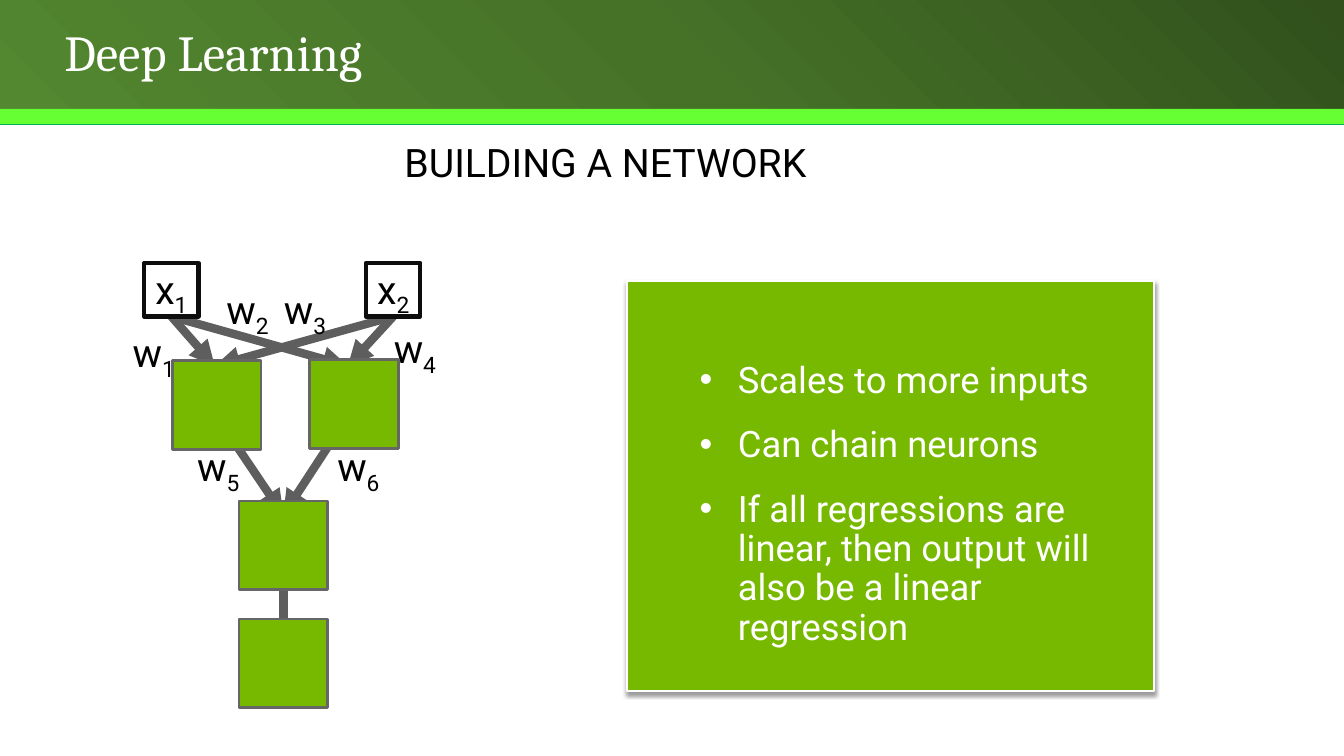
from copy import deepcopy
from lxml.etree import SubElement
from pptx import Presentation
from pptx.dml.color import RGBColor
from pptx.enum.shapes import MSO_CONNECTOR, MSO_SHAPE
from pptx.enum.text import MSO_ANCHOR, PP_ALIGN
from pptx.oxml.ns import qn
from pptx.util import Inches, Pt


def color(hex_string):
    return RGBColor.from_string(hex_string)


def write(shape, parts, size, font_color, font_name="Roboto", align=PP_ALIGN.CENTER):
    """Write one line; a second part becomes a subscript."""
    paragraph = shape.text_frame.paragraphs[0]
    paragraph.alignment = align
    paragraph.line_spacing = 0.9
    for index, part in enumerate(parts):
        run = paragraph.add_run()
        run.text = part
        run.font.size = Pt(size)
        run.font.name = font_name
        run.font.color.rgb = color(font_color)
        if index == 1:
            run.font._element.set("baseline", "-25000")


presentation = Presentation()
presentation.slide_width = Inches(13.33)
presentation.slide_height = Inches(7.5)
slide = presentation.slides.add_slide(presentation.slide_layouts[6])
shapes = slide.shapes

# Header bands
for top, height, fill in [(0, 1.09, None), (1.09, 0.15, "00B050"), (1.08, 0.15, "66FF33")]:
    band = shapes.add_shape(MSO_SHAPE.RECTANGLE, 0, Inches(top), Inches(13.33), Inches(height))
    band.shadow.inherit = False
    band.line.fill.background()
    if fill:
        band.fill.solid()
        band.fill.fore_color.rgb = color(fill)
    else:
        band.fill.gradient()
        band.fill.gradient_angle = 225
        stop_list = band._element.spPr.find(".//" + qn("a:gsLst"))
        stop_list.insert(1, deepcopy(stop_list[0]))
        stops = [(0, "31501C"), (0.5, "467228"), (1, "538730")]
        for stop, (position, stop_color) in zip(band.fill.gradient_stops, stops):
            stop.position = position
            stop.color.rgb = color(stop_color)

# Title and subtitle
title = shapes.add_textbox(Inches(0.54), Inches(0.27), Inches(10.9), Inches(0.55))
title.text_frame.word_wrap = True
title.text_frame.vertical_anchor = MSO_ANCHOR.MIDDLE
write(title, ["Deep Learning"], 36, "FFFFFF", "Cambria", PP_ALIGN.LEFT)

subtitle = shapes.add_textbox(Inches(0.55), Inches(1.24), Inches(10.91), Inches(0.65))
subtitle.text_frame.word_wrap = True
subtitle.text_frame.vertical_anchor = MSO_ANCHOR.BOTTOM
write(subtitle, ["BUILDING A NETWORK"], 28, "000000")

# Panel with bullets
panel = shapes.add_shape(MSO_SHAPE.RECTANGLE, Inches(6.22), Inches(2.79), Inches(5.23), Inches(4.07))
panel.fill.solid()
panel.fill.fore_color.rgb = color("76B900")
panel.line.color.rgb = color("FFFFFF")
panel.line.width = Pt(1.5)
panel.shadow.inherit = False
effects = panel._element.spPr.find(qn("a:effectLst"))
shadow = SubElement(effects, qn("a:outerShdw"), blurRad=str(Pt(3.1)), dist=str(Pt(1.6)),
                    dir="5400000", rotWithShape="0")
shadow_color = SubElement(shadow, qn("a:srgbClr"), val="000000")
SubElement(shadow_color, qn("a:alpha"), val="38000")

frame = panel.text_frame
frame.word_wrap = True
frame.vertical_anchor = MSO_ANCHOR.TOP
frame.margin_top = Inches(0.8)
frame.text = "\n".join([
    "Scales to more inputs",
    "Can chain neurons",
    "If all regressions are linear, then output will also be a linear regression",
])
for index, paragraph in enumerate(frame.paragraphs):
    paragraph.alignment = PP_ALIGN.LEFT
    paragraph.line_spacing = 0.9
    paragraph.space_before = Pt(9 if index else 0)
    paragraph.space_after = Pt(9)
    properties = paragraph._p.get_or_add_pPr()
    properties.set("marL", str(Inches(1)))
    properties.set("indent", str(Inches(-0.38)))
    bullet_color = SubElement(properties, qn("a:buClr"))
    SubElement(bullet_color, qn("a:srgbClr"), val="FFFFFF")
    SubElement(properties, qn("a:buFont"), typeface="Arial")
    SubElement(properties, qn("a:buChar"), char="•")
    paragraph.font.size = Pt(26)
    for run in paragraph.runs:
        run.font.size = Pt(26)
        run.font.name = "Roboto"
        run.font.color.rgb = color("FFFFFF")

# Input boxes
inputs = []
for number, left in [("1", 1.43), ("2", 3.63)]:
    box = shapes.add_shape(MSO_SHAPE.RECTANGLE, Inches(left), Inches(2.61), Inches(0.54), Inches(0.53))
    box.shadow.inherit = False
    box.fill.solid()
    box.fill.fore_color.rgb = color("FFFFFF")
    box.line.color.rgb = color("0D0D0D")
    box.line.width = Pt(3)
    box.text_frame.word_wrap = False
    box.text_frame.vertical_anchor = MSO_ANCHOR.MIDDLE
    write(box, ["x", number], 28, "000000")
    inputs.append(box)

# Arrows; those with an input box start at the middle of its bottom side
first_hidden, second_hidden, output = (2.13, 3.63), (3.45, 3.63), (2.81, 5.11)
arrows = [
    ((2.17, 4.16), output, None),
    ((2.81, 5.64), (2.81, 6.51), None),
    ((3.43, 4.16), output, None),
    ((1.7, 3.14), first_hidden, inputs[0]),
    ((1.7, 3.14), second_hidden, inputs[0]),
    ((3.9, 3.14), first_hidden, inputs[1]),
    ((3.9, 3.14), second_hidden, inputs[1]),
]
for start, end, source_box in arrows:
    arrow = shapes.add_connector(MSO_CONNECTOR.STRAIGHT, *map(Inches, start + end))
    if source_box:
        arrow.begin_connect(source_box, 2)
    arrow.line.color.rgb = color("5E5E5E")
    arrow.line.width = Pt(6)
    SubElement(arrow.line._get_or_add_ln(), qn("a:tailEnd"), type="triangle")
    SubElement(arrow._element.spPr, qn("a:effectLst"))

# Input boxes cover the arrow starts
for box in inputs:
    shapes._spTree.append(box._element)

# Weight labels
weights = [(1.21, 3.24), (2.14, 2.81), (2.71, 2.81), (3.8, 3.2), (1.85, 4.37), (3.24, 4.37)]
for number, (left, top) in enumerate(weights, start=1):
    label = shapes.add_textbox(Inches(left), Inches(top), Inches(0.63), Inches(0.53))
    label.text_frame.word_wrap = False
    label.text_frame.vertical_anchor = MSO_ANCHOR.MIDDLE
    write(label, ["w", str(number)], 28, "000000")

# Neurons cover the arrow ends
for left, top in [(1.71, 3.58), (3.07, 3.57), (2.37, 4.97), (2.37, 6.14)]:
    neuron = shapes.add_shape(MSO_SHAPE.RECTANGLE, Inches(left), Inches(top), Inches(0.88), Inches(0.88))
    neuron.shadow.inherit = False
    neuron.fill.solid()
    neuron.fill.fore_color.rgb = color("76B900")
    neuron.line.color.rgb = color("666666")
    neuron.line.width = Pt(2)

presentation.save("out.pptx")
